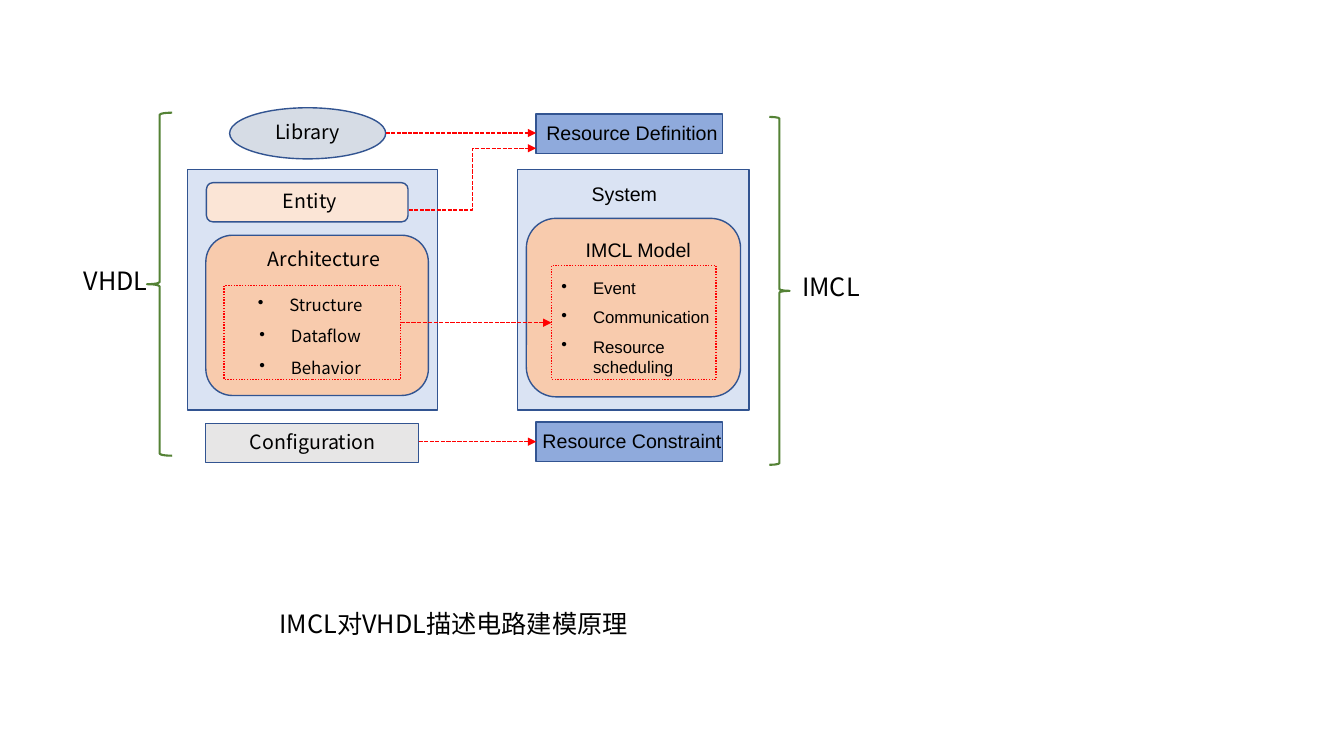
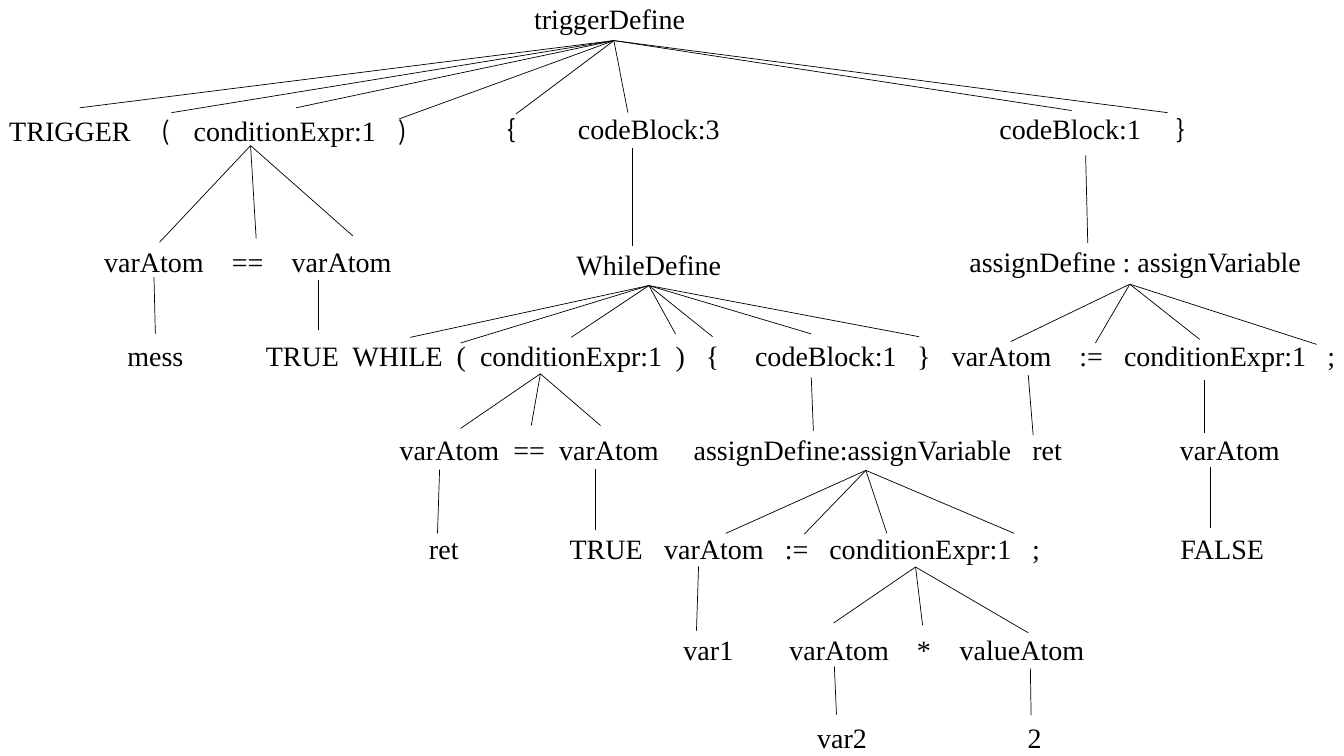
from dataclasses import dataclass

from lxml import etree
from pptx import Presentation
from pptx import util as u
from pptx.dml.color import RGBColor
from pptx.enum import dml, shapes, text
from pptx.oxml.ns import qn

Pt = u.Pt
Kind = shapes.MSO_SHAPE
Link = shapes.MSO_CONNECTOR
Dash = dml.MSO_LINE
Side = text.PP_ALIGN
Anchor = text.MSO_ANCHOR


@dataclass(frozen=True)
class Theme:
    ink: str = "000000"
    edge: str = "325491"
    brace: str = "548235"
    arrow: str = "FF0000"
    panel: str = "DAE3F3"
    model: str = "F8CBAD"
    entity: str = "FBE5D6"
    config: str = "E7E6E6"
    library: str = "D6DCE5"
    resource: str = "8FAADC"
    sans: str = "Noto Sans CJK SC"
    arial: str = "Arial"
    serif: str = "Times New Roman"
    big: int = 18
    mid: int = 14
    small: int = 12
    node: int = 20
    thin: float = 0.5
    line: float = 1
    thick: float = 1.5


T = Theme()


def pts(*vals):
    return [Pt(v) for v in vals]


def style(para, font, size, align=Side.CENTER):
    para.alignment = align
    para.font.name = font
    para.font.size = Pt(size)
    para.font.color.rgb = RGBColor.from_string(T.ink)


def pad(frame, left=0, top=0, right=0, low=0):
    frame.margin_left, frame.margin_top = pts(left, top)
    frame.margin_right, frame.margin_bottom = pts(right, low)


def stroke(line, color, width, dash=None):
    line.color.rgb = RGBColor.from_string(color)
    line.width = Pt(width)
    if dash:
        line.dash_style = dash


def label(slide, words, x, y, font, size):
    """Put one line of text with its middle at x, y."""
    wide = sum(2 if c > "ÿ" else 1 for c in words) * size * 0.68
    high = size * 1.5
    box = slide.shapes.add_textbox(*pts(x - wide / 2, y - high / 2, wide, high))
    frame = box.text_frame
    pad(frame)
    frame.word_wrap = False
    frame.vertical_anchor = Anchor.MIDDLE
    frame.text = words
    style(frame.paragraphs[0], font, size)


def shape(slide, kind, area, fill=None, edge=T.edge, width=T.line, dash=None):
    item = slide.shapes.add_shape(kind, *pts(*area))
    item.shadow.inherit = False
    if fill:
        item.fill.solid()
        item.fill.fore_color.rgb = RGBColor.from_string(fill)
    else:
        item.fill.background()
    stroke(item.line, edge, width, dash)
    return item


def block(slide, kind, area, fill, words, font, left):
    """Draw a filled shape with a centred caption."""
    frame = shape(slide, kind, area, fill).text_frame
    pad(frame, left, low=2)
    frame.word_wrap = False
    frame.vertical_anchor = Anchor.MIDDLE
    frame.text = words
    style(frame.paragraphs[0], font, T.mid)


def bullets(slide, area, items, font, align, top, right, gap):
    """Draw a dotted frame that holds a bulleted list."""
    frame = shape(slide, Kind.RECTANGLE, area, edge=T.arrow,
                  dash=Dash.ROUND_DOT).text_frame
    pad(frame, 7.2, top, right)
    frame.word_wrap = True
    frame.vertical_anchor = Anchor.TOP
    frame.text = "\n".join(items)
    for para in frame.paragraphs:
        style(para, font, T.small, align)
        para.space_after = Pt(gap)
        props = para._p.get_or_add_pPr()
        props.set("marL", str(Pt(22.5)))
        props.set("indent", str(-Pt(22.5)))
        mark = etree.Element(qn("a:buChar"), char="•")
        props.find(qn("a:defRPr")).addprevious(mark)


def link(slide, start, end, kind=Link.STRAIGHT, color=T.ink, width=T.thin,
         dash=None):
    item = slide.shapes.add_connector(kind, *pts(*start, *end))
    stroke(item.line, color, width, dash)
    etree.SubElement(item._element.spPr, qn("a:effectLst"))
    return item


def arrow(slide, start, end, kind=Link.STRAIGHT):
    item = link(slide, start, end, kind, T.arrow, T.line, Dash.SQUARE_DOT)
    etree.SubElement(item.line._get_or_add_ln(), qn("a:tailEnd"),
                     type="triangle")


def fan(slide, hub, ends):
    for end in ends:
        link(slide, hub, end)


def mapping(slide):
    rect, oval, soft = Kind.RECTANGLE, Kind.OVAL, Kind.ROUNDED_RECTANGLE
    for kind, area, fill in (
        (rect, (134, 121, 178.5, 172), T.panel),
        (soft, (147, 168, 159, 114.5), T.model),
        (rect, (369.5, 121, 165.5, 172), T.panel),
        (soft, (376, 156, 153, 127.5), T.model),
    ):
        shape(slide, kind, area, fill)

    for kind, area, fill, words, font, left in (
        (oval, (164, 77, 111.5, 36.5), T.library, "Library", T.sans, 0),
        (soft, (147.5, 130.5, 144, 28), T.entity, "Entity", T.sans, 4),
        (rect, (147, 302.5, 152, 28), T.config, "Configuration", T.sans, 1),
        (rect, (383, 81.5, 133, 28), T.resource, "Resource Definition",
         T.arial, 4),
        (rect, (383, 301.5, 133, 28), T.resource, "Resource Constraint",
         T.arial, 4),
    ):
        block(slide, kind, area, fill, words, font, left)

    for words, x, y, font, size in (
        ("VHDL", 82.5, 200, T.sans, T.big),
        ("IMCL", 593.5, 204.5, T.sans, T.big),
        ("Architecture", 231.5, 184.5, T.sans, T.mid),
        ("System", 446, 138, T.arial, T.mid),
        ("IMCL Model", 456, 178, T.arial, T.mid),
        ("IMCL对VHDL描述电路建模原理", 324, 445, T.sans, T.big),
    ):
        label(slide, words, x, y, font, size)

    for area, turn in (((105, 80.5, 18, 245), 0),
                       ((549.5, 83.5, 14.5, 248.5), 180)):
        brace = shape(slide, Kind.LEFT_BRACE, area, edge=T.brace,
                      width=T.thick)
        brace.rotation = turn

    bullets(slide, (160, 204, 126, 67), ("Structure", "Dataflow", "Behavior"),
            T.sans, Side.CENTER, 6.5, 10, 8)
    bullets(slide, (394, 189.5, 117.5, 81.5),
            ("Event", "Communication", "Resource scheduling"),
            T.arial, Side.LEFT, 9, 0, 6.5)

    for start, end in (((275.5, 95), (383, 95)),
                       ((286, 230.5), (394, 230.5)),
                       ((299, 315.5), (383, 315.5))):
        arrow(slide, start, end)
    arrow(slide, (292, 150), (383, 106), Link.ELBOW)


# Each row of the tree: middle height, then words with their middles.
ROWS = (
    (13, (("triggerDefine", 435.5),)),
    (93, (("TRIGGER", 50), ("conditionExpr:1", 203.5))),
    (92, (("codeBlock:3", 463.5), ("codeBlock:1", 764.5))),
    (186.5, (("varAtom", 110), ("==", 177), ("varAtom", 244),
             ("assignDefine : assignVariable", 811))),
    (188.5, (("WhileDefine", 463.5),)),
    (254, (("mess", 111), ("TRUE", 216), ("WHILE", 284), ("(", 329.5),
           ("conditionExpr:1", 408), (")", 486), ("{", 509),
           ("codeBlock:1", 590), ("}", 660), ("varAtom", 715.5),
           (":=", 779.5), ("conditionExpr:1", 868), (";", 951))),
    (321, (("varAtom", 321), ("==", 378), ("varAtom", 435),
           ("assignDefine:assignVariable", 609), ("ret", 748),
           ("varAtom", 878.5))),
    (392, (("ret", 317), ("TRUE", 433), ("varAtom", 510), (":=", 569),
           ("conditionExpr:1", 657.5), (";", 740), ("FALSE", 873))),
    (463.5, (("var1", 506), ("varAtom", 599.5), ("*", 660),
             ("valueAtom", 730))),
    (527, (("var2", 601.5), ("2", 739))),
)
MARKS = (("(", 118.5, 93), (")", 288, 93), ("{", 365.5, 92), ("}", 843.5, 92))

# Each fan: the parent's point, then the points of its children.
FANS = (
    ((438.5, 29), ((57, 77), (122.5, 80.5), (211.5, 77), (285, 85),
                   (368.5, 81.5), (448.5, 80.5), (765.5, 79), (834, 80.5))),
    ((179, 104), ((114, 173), (183, 170.5), (252, 168.5))),
    ((463.5, 204), ((293, 241), (329, 245), (408, 241), (482.5, 238.5),
                    (509, 240.5), (579.5, 238.5), (656.5, 240.5))),
    ((807, 203), ((722, 244), (782.5, 245), (857, 242.5), (940.5, 246))),
    ((386, 267), ((329, 306), (379.5, 304), (429, 304))),
    ((618.5, 336), ((518.5, 381), (574.5, 381.5), (633.5, 381),
                    (724.5, 381))),
    ((654, 405), ((595.5, 445), (659, 446.5), (734.5, 452))),
    ((451.5, 106), ((451.5, 175.5),)),
    ((775.5, 111), ((777, 173.5),)),
    ((110, 198), ((111, 238.5),)),
    ((227.5, 200), ((227.5, 236),)),
    ((579.5, 269.5), ((581, 308),)),
    ((734.5, 268), ((738, 311),)),
    ((860.5, 271.5), ((860.5, 309.5),)),
    ((314, 335.5), ((312.5, 381),)),
    ((425.5, 335), ((425.5, 378.5),)),
    ((864.5, 333.5), ((864.5, 377.5),)),
    ((499, 404.5), ((497.5, 450.5),)),
    ((596, 476), ((597.5, 510.5),)),
    ((736, 477.5), ((736.5, 511),)),
)


def tree(slide):
    for y, nodes in ROWS:
        for words, x in nodes:
            label(slide, words, x, y, T.serif, T.node)
    for words, x, y in MARKS:
        label(slide, words, x, y, T.sans, T.big)
    for hub, ends in FANS:
        fan(slide, hub, ends)


def main():
    deck = Presentation()
    deck.slide_width, deck.slide_height = Pt(960), Pt(540)
    for draw in (mapping, tree):
        draw(deck.slides.add_slide(deck.slide_layouts[6]))
    deck.save("out.pptx")


if __name__ == "__main__":
    main()
